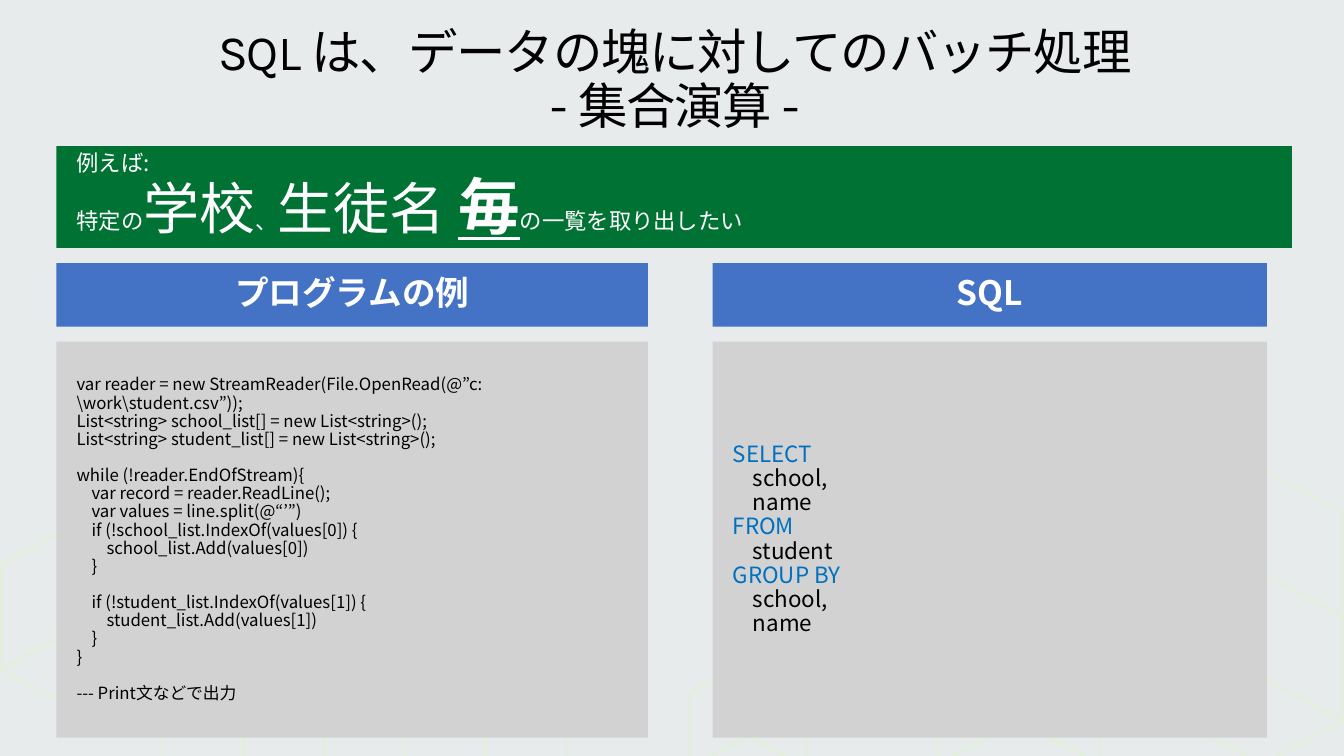
from lxml import etree
from pptx import Presentation, util as u
from pptx.dml.color import RGBColor
from pptx.enum import shapes, text
from pptx.oxml.ns import qn

BACKGROUND = RGBColor(0xE7, 0xEB, 0xEC)
PALE_GREEN = RGBColor(0xE2, 0xF0, 0xD9)
GREEN = RGBColor(0x00, 0x72, 0x33)
BLUE = RGBColor(0x44, 0x72, 0xC4)
KEYWORD_BLUE = RGBColor(0x00, 0x70, 0xC0)
GREY = RGBColor(0xD2, 0xD2, 0xD2)
BLACK = RGBColor(0, 0, 0)
WHITE = RGBColor(0xFF, 0xFF, 0xFF)
BODY_FONT = "Noto Sans CJK JP"
TITLE_FONT = "Karla"

# Cube parts as steps: (half widths, slants, edge heights)
LEFT = [(0, 0, 1), (-1, 1, 1), (-1, 1, 0), (0, 0, 0)]
RIGHT = [(-across, down, edge) for across, down, edge in LEFT]
TOP = [(0, 0, 0), (-1, 1, 0), (0, 2, 0), (1, 1, 0)]
RIDGE = [(1, 1, 0), (0, 0, 0), (-1, 1, 0)]
CORNER = [(0, 0, 0), (1, 1, 0), (1, 1, 1), (0, 2, 1), (-1, 1, 1), (0, 0, 1)]
CUBE_PARTS = [
    (LEFT, 25.68, 15.54, 1), (RIGHT, 25.68, 15.54, 1), (RIDGE, 25.68, 18.16, 1),
    (RIGHT, 31.8, 14.43, 1), (TOP, 31.8, 17.05, 1), (RIGHT, 31.8, 11.81, 1),
    (LEFT, 8.18, 16.87, 1), (RIGHT, 4.09, 16.87, 1),
    (LEFT, 2.06, 13.13, 1), (TOP, 2.06, 15.75, 1),
    (LEFT, 18.85, 16.66, 0.72), (RIGHT, 18.85, 16.66, 0.72), (RIDGE, 18.85, 18.55, 0.72),
    (CORNER, 8.18, 16.89, 1), (TOP, 10.21, 15.77, 1), (RIGHT, 12.24, 16.89, 1),
]

PROGRAM = r"""var reader = new StreamReader(File.OpenRead(@”c:\work\student.csv”));
List<string> school_list[] = new List<string>();
List<string> student_list[] = new List<string>();

while (!reader.EndOfStream){
    var record = reader.ReadLine();
    var values = line.split(@“’”)
    if (!school_list.IndexOf(values[0]) {
        school_list.Add(values[0])
    }

    if (!student_list.IndexOf(values[1]) {
        student_list.Add(values[1])
    }
}

--- Print文などで出力"""

QUERY = """SELECT
    school,
    name
FROM
    student
GROUP BY
    school,
    name"""


class SlideBuilder:
    def __init__(self, slide):
        self.slide = slide
        slide.background.fill.solid()
        slide.background.fill.fore_color.rgb = BACKGROUND

    def cube_part(self, steps, x, y, scale):
        width, slant, edge = 2.04 * scale, 1.11 * scale, 2.62 * scale
        points = [(u.Cm(x + across * width), u.Cm(y + down * slant + height * edge))
                  for across, down, height in steps]
        builder = self.slide.shapes.build_freeform(*points[0])
        builder.add_line_segments(points[1:], close=steps is not RIDGE)
        shape = builder.convert_to_shape()
        shape.shadow.inherit = False
        shape.fill.background()
        shape.line.color.rgb = PALE_GREEN
        shape.line.width = u.Pt(1.38)

    def set_frame(self, shape, inset_x, inset_y):
        frame = shape.text_frame
        frame.word_wrap = True
        frame.vertical_anchor = text.MSO_ANCHOR.MIDDLE
        frame.margin_left = frame.margin_right = u.Cm(inset_x)
        frame.margin_top = frame.margin_bottom = u.Cm(inset_y)
        return frame

    def style(self, paragraph, size, color, name=BODY_FONT, bold=False, centered=False):
        paragraph.alignment = text.PP_ALIGN.CENTER if centered else text.PP_ALIGN.LEFT
        paragraph.line_spacing = 0.9
        font = paragraph.font
        font.size, font.bold, font.name = u.Pt(size), bold, name
        font.color.rgb = color
        etree.SubElement(font._rPr, qn("a:ea")).set("typeface", name)

    def title(self, words, x, y, width, height):
        box = self.slide.shapes.add_textbox(*map(u.Cm, (x, y, width, height)))
        paragraph = self.set_frame(box, 0.41, 0.25).paragraphs[0]
        paragraph.text = words
        self.style(paragraph, 35.3, BLACK, TITLE_FONT, centered=True)
        paragraph.font._rPr.set("spc", "-80")

    def panel(self, fill, x, y, width, height):
        shape = self.slide.shapes.add_shape(
            shapes.MSO_SHAPE.RECTANGLE, *map(u.Cm, (x, y, width, height)))
        shape.shadow.inherit = False
        shape.fill.solid()
        shape.fill.fore_color.rgb = fill
        shape.line.fill.background()
        return self.set_frame(shape, 0.51, 0.41)

    def heading(self, words, x, width):
        paragraph = self.panel(BLUE, x, 6.63, width, 1.6).paragraphs[0]
        paragraph.text = words
        self.style(paragraph, 24, WHITE, bold=True, centered=True)

    def code(self, source, x, width, size, keywords=()):
        frame = self.panel(GREY, x, 8.61, width, 9.98)
        paragraph = frame.paragraphs[0]
        for number, block in enumerate(source.split("\n\n")):
            for row, line in enumerate(block.split("\n")):
                if number or row:
                    paragraph = frame.add_paragraph()
                paragraph.text = line
                self.style(paragraph, size, KEYWORD_BLUE if line in keywords else BLACK)
                if number and not row:
                    paragraph.space_before = u.Pt(size * 1.08)

    def example(self, lead, pieces, x, y, width, height):
        frame = self.panel(GREEN, x, y, width, height)
        frame.paragraphs[0].text = lead
        self.style(frame.paragraphs[0], 16, WHITE)
        request = frame.add_paragraph()
        self.style(request, 16, WHITE)
        for words, size, stressed in pieces:
            run = request.add_run()
            run.text = words
            run.font.size = u.Pt(size)
            if stressed:
                run.font.bold = run.font.underline = True


def main():
    presentation = Presentation()
    presentation.slide_width, presentation.slide_height = u.Cm(33.87), u.Cm(19.05)
    builder = SlideBuilder(presentation.slides.add_slide(presentation.slide_layouts[6]))

    # Background cubes
    for part in CUBE_PARTS:
        builder.cube_part(*part)

    # Title
    builder.title("SQL は、データの塊に対してのバッチ処理\v- 集合演算 -", 0.76, 0.81, 32.51, 2.49)

    # Program and query side by side
    builder.heading("SQL", 17.96, 13.97)
    builder.heading("プログラムの例", 1.42, 14.91)
    builder.code(QUERY, 17.96, 13.97, 16, ("SELECT", "FROM", "GROUP BY"))
    builder.code(PROGRAM, 1.42, 14.91, 12)

    # Example request
    builder.example("例えば:", [
        ("特定の", 16, False), ("学校", 40, False), ("、", 16, False),
        ("生徒名 ", 40, False), ("毎", 44, True), ("の一覧を取り出したい", 16, False),
    ], 1.42, 3.68, 31.14, 2.57)

    presentation.save("out.pptx")


if __name__ == "__main__":
    main()
